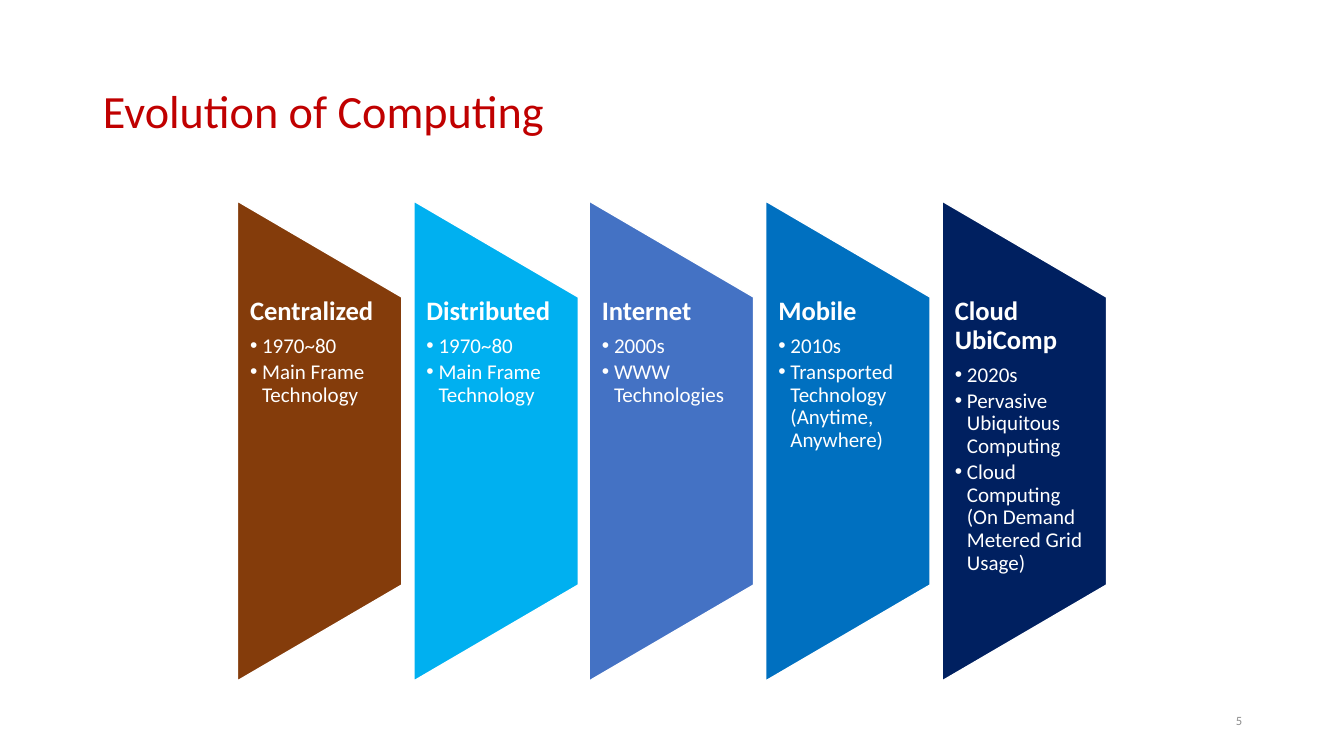
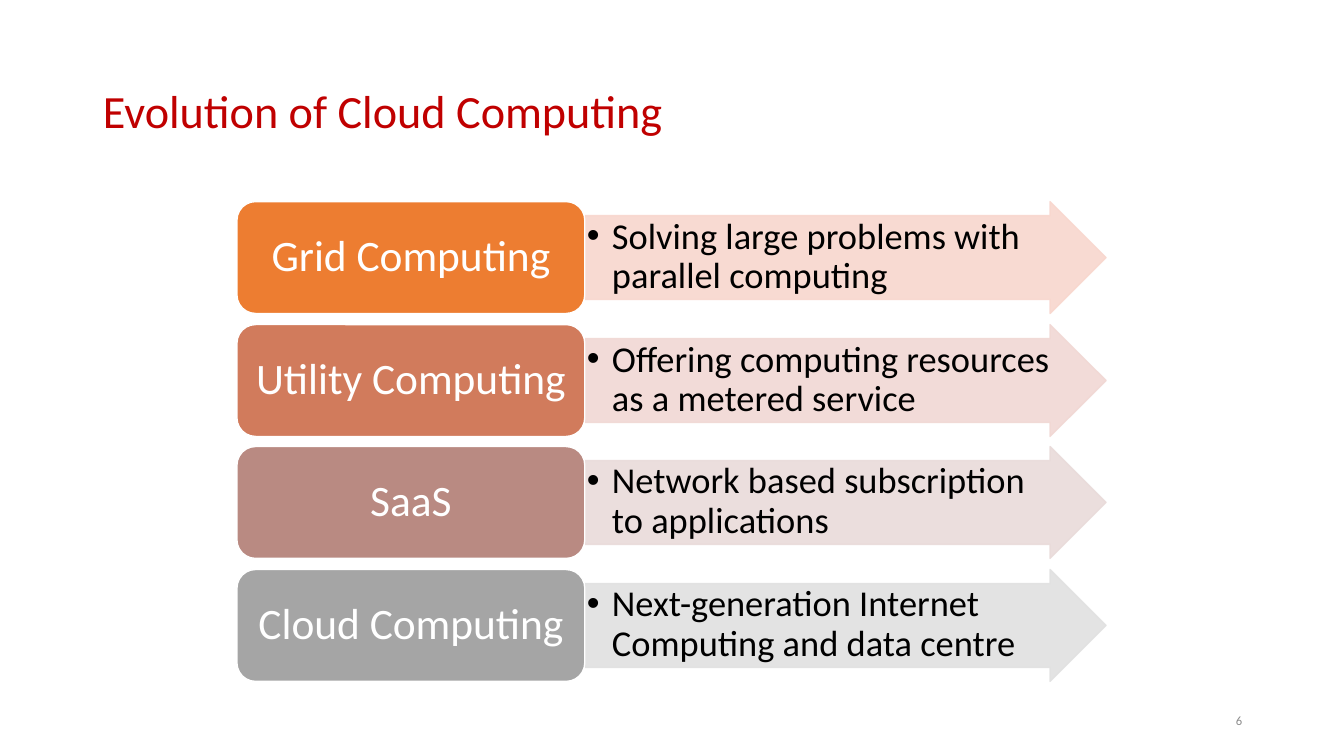
from dataclasses import dataclass

from lxml.etree import SubElement
from pptx import Presentation
from pptx.dml.color import RGBColor
from pptx.enum.shapes import MSO_SHAPE as Shp
from pptx.enum.text import MSO_ANCHOR as Anchor, MSO_AUTO_SIZE as AutoSize, PP_ALIGN as Align
from pptx.oxml.ns import qn
from pptx.util import Pt

EMU_PER_PX = 9144


@dataclass(frozen=True)
class Theme:
    font: str = "Calibri"
    title: str = "C00000"
    number: str = "8C8C8C"
    light: str = "FFFFFF"
    dark: str = "000000"
    title_size: int = 33
    number_size: int = 9
    era_size: int = 19
    detail_size: int = 15
    label_size: int = 31
    arrow_size: int = 26
    arrow_opacity: int = 90


@dataclass(frozen=True)
class Box:
    x: int
    y: int
    w: int
    h: int

    def emu(self) -> tuple[int, ...]:
        return tuple(px(v) for v in (self.x, self.y, self.w, self.h))


@dataclass(frozen=True)
class Era:
    name: str
    details: tuple[str, ...]
    color: str


@dataclass(frozen=True)
class Stage:
    name: str
    detail: str
    color: str
    tint: str


THEME = Theme()
TITLE = Box(92, 40, 1150, 145)
NUMBER = Box(942, 695, 300, 40)
DIAGRAM = Box(235, 200, 862, 476)

ERAS = (
    Era("Centralized", ("1970~80", "Main Frame Technology"), "843C0B"),
    Era("Distributed", ("1970~80", "Main Frame Technology"), "00B0F0"),
    Era("Internet", ("2000s", "WWW Technologies"), "4472C4"),
    Era("Mobile", ("2010s", "Transported Technology (Anytime, Anywhere)"), "0070C0"),
    Era(
        "Cloud UbiComp",
        ("2020s", "Pervasive Ubiquitous Computing", "Cloud Computing (On Demand Metered Grid Usage)"),
        "002060",
    ),
)
STAGES = (
    Stage("Grid Computing", "Solving large problems with parallel computing", "ED7D31", "F8D7CE"),
    Stage("Utility Computing", "Offering computing resources as a metered service", "D17B5C", "F1D8D4"),
    Stage("SaaS", "Network based subscription to applications", "B98A82", "E9DBDA"),
    Stage("Cloud Computing", "Next-generation Internet Computing and data centre", "A5A5A5", "E1E1E1"),
)


def px(value: int) -> int:
    return value * EMU_PER_PX


def spread(start: int, span: int, size: int, count: int) -> list[int]:
    return [round(start + i * (span - size) / (count - 1)) for i in range(count)]


def set_frame(tf, insets=(10, 5, 10, 5), anchor=Anchor.TOP):
    tf.word_wrap = True
    tf.auto_size = AutoSize.NONE
    tf.vertical_anchor = anchor
    tf.margin_left, tf.margin_top, tf.margin_right, tf.margin_bottom = map(px, insets)
    return tf


def add_text(tf, text: str, *, size: int, color: str, bold: bool = False,
             align=Align.LEFT, spacing: float = 0.9, after: float = 0, bullet: int = 0) -> None:
    p = tf.paragraphs[0] if not tf.text else tf.add_paragraph()
    p.alignment = align
    p.line_spacing = spacing
    p.space_before = Pt(0)
    p.space_after = Pt(after)
    if bullet:
        ppr = p._p.get_or_add_pPr()
        ppr.set("marL", str(px(bullet)))
        ppr.set("indent", str(-px(bullet)))
        SubElement(ppr, qn("a:buFont")).set("typeface", "Arial")
        SubElement(ppr, qn("a:buChar")).set("char", "•")
    r = p.add_run()
    r.text = text
    r.font.name = THEME.font
    r.font.size = Pt(size)
    r.font.bold = bold
    r.font.color.rgb = RGBColor.from_string(color)


def add_box(s, kind, box: Box, fill: str, line: str, opacity: int = 100):
    sp = s.shapes.add_shape(kind, *box.emu())
    sp.shadow.inherit = False
    sp.fill.solid()
    sp.fill.fore_color.rgb = RGBColor.from_string(fill)
    sp.line.color.rgb = RGBColor.from_string(line)
    sp.line.width = Pt(1)
    if opacity < 100:
        for color in sp._element.spPr.iter(qn("a:srgbClr")):
            SubElement(color, qn("a:alpha")).set("val", str(opacity * 1000))
    return sp


def add_slide(prs, title: str, number: int):
    s = prs.slides.add_slide(prs.slide_layouts[5])
    sp = s.shapes.title
    sp.left, sp.top, sp.width, sp.height = TITLE.emu()
    tf = set_frame(sp.text_frame, anchor=Anchor.MIDDLE)
    add_text(tf, title, size=THEME.title_size, color=THEME.title)
    tf = set_frame(s.shapes.add_textbox(*NUMBER.emu()).text_frame, anchor=Anchor.MIDDLE)
    add_text(tf, str(number), size=THEME.number_size, color=THEME.number,
             align=Align.RIGHT, spacing=1.0)
    return s


def draw_eras(s) -> None:
    width, height = 163, DIAGRAM.h
    shift = (height - width) // 2
    for era, x in zip(ERAS, spread(DIAGRAM.x, DIAGRAM.w, width, len(ERAS))):
        panel = Box(x - shift, DIAGRAM.y + shift, height, width)
        sp = add_box(s, Shp.FLOWCHART_MANUAL_OPERATION, panel, era.color, THEME.light)
        sp.rotation = 270
        text_box = Box(x, DIAGRAM.y + height // 5, width, height * 3 // 5)
        tf = set_frame(s.shapes.add_textbox(*text_box.emu()).text_frame, (13, 0, 13, 0))
        add_text(tf, era.name, size=THEME.era_size, color=THEME.light, bold=True, after=6.65)
        for detail in era.details:
            add_text(tf, detail, size=THEME.detail_size, color=THEME.light, after=2.25, bullet=12)


def draw_stages(s) -> None:
    label_w, height = 345, 111
    for stage, y in zip(STAGES, spread(DIAGRAM.y, DIAGRAM.h, height, len(STAGES))):
        arrow = Box(DIAGRAM.x + label_w, y, DIAGRAM.w - label_w, height)
        sp = add_box(s, Shp.RIGHT_ARROW, arrow, stage.tint, stage.tint, THEME.arrow_opacity)
        sp.adjustments[0], sp.adjustments[1] = 0.75, 0.5
        add_text(set_frame(sp.text_frame, (2, 2, 2, 2)), stage.detail,
                 size=THEME.arrow_size, color=THEME.dark, bullet=25)
        label = Box(DIAGRAM.x, y, label_w, height)
        sp = add_box(s, Shp.ROUNDED_RECTANGLE, label, stage.color, THEME.light)
        add_text(set_frame(sp.text_frame, (13, 6, 13, 6), Anchor.MIDDLE), stage.name,
                 size=THEME.label_size, color=THEME.light, align=Align.CENTER)


def main() -> None:
    prs = Presentation()
    prs.slide_width, prs.slide_height = px(1333), px(750)
    draw_eras(add_slide(prs, "Evolution of Computing", 5))
    draw_stages(add_slide(prs, "Evolution of Cloud Computing", 6))
    prs.save("out.pptx")


if __name__ == "__main__":
    main()
